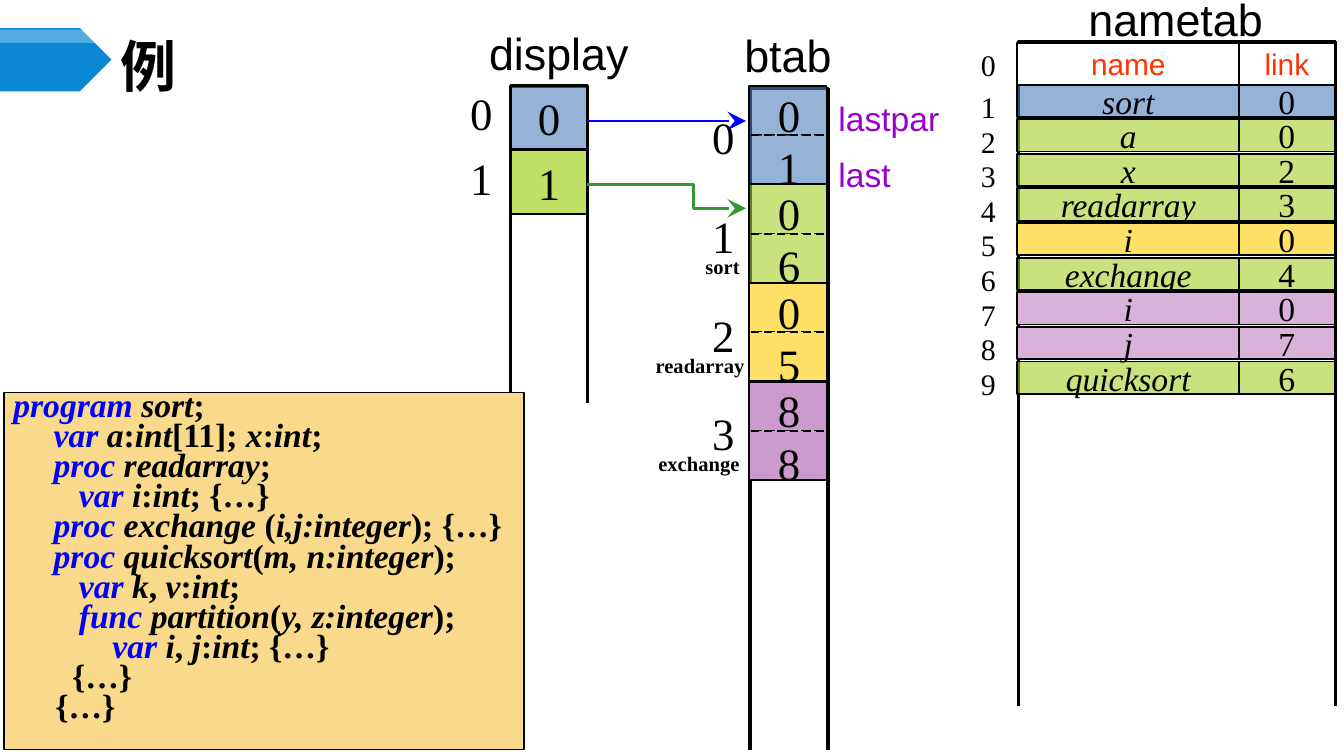
from dataclasses import dataclass, replace
from typing import NamedTuple

from lxml import etree
from pptx import Presentation
from pptx import util as u
from pptx.dml.color import RGBColor
from pptx.enum import dml, shapes, text
from pptx.oxml.ns import qn


@dataclass(frozen=True)
class Type:
    face: str
    size: float
    ink: str = "000000"
    bold: bool = False
    slant: bool = False


class Fill(NamedTuple):
    ink: str
    alpha: int = 100


SERIF, SANS = "Times New Roman", "Arial"


@dataclass(frozen=True)
class Theme:
    title: Type = Type("Noto Sans CJK SC", 30, bold=True)
    head: Type = Type(SANS, 24)
    field: Type = Type(SANS, 16, "FF3300")
    note: Type = Type(SANS, 18, "9900CC")
    big: Type = Type(SERIF, 24)
    cell: Type = Type(SERIF, 18)
    name: Type = Type(SERIF, 18, slant=True)
    index: Type = Type(SERIF, 16)
    small: Type = Type(SERIF, 11, bold=True)
    code: Type = Type(SERIF, 18, bold=True)
    key: Type = Type(SERIF, 18, "0000FF", True, True)
    line: str = "000000"
    blue: Fill = Fill("4F81BD", 60)
    green: Fill = Fill("A5D028", 60)
    lime: Fill = Fill("99CC00", 60)
    gold: Fill = Fill("FFE066")
    pink: Fill = Fill("D9B2D9")
    plum: Fill = Fill("CC99CC")
    white: Fill = Fill("FFFFFF")
    paper: Fill = Fill("F9D98C")
    tag: Fill = Fill("0B87D6")
    gloss: Fill = Fill("FFFFFF", 30)
    call: str = "0000FF"
    jump: str = "339933"


class Row(NamedTuple):
    name: str
    link: str
    fill: Fill


class Block(NamedTuple):
    top: str
    low: str
    fill: Fill
    name: str = ""
    left: float = 0
    width: float = 0


class Code(NamedTuple):
    """rest alternates slanted and upright parts, split by '|'."""
    lead: str
    key: str
    rest: str


T = Theme()
ROWS = [Row("sort", "0", T.blue), Row("a", "0", T.green), Row("x", "2", T.green),
        Row("readarray", "3", T.green), Row("i", "0", T.gold),
        Row("exchange", "4", T.green), Row("i", "0", T.pink),
        Row("j", "7", T.pink), Row("quicksort", "6", T.green)]
BLOCKS = [Block("0", "1", T.blue), Block("0", "6", T.green, "sort", 5.15, 0.46),
          Block("0", "5", T.gold, "readarray", 4.78, 0.87),
          Block("8", "8", T.plum, "exchange", 4.8, 0.81)]
CODE = [Code("", "program ", "sort|;"),
        Code("\t", "var ", "a|:|int|[11]; |x|:|int|;"),
        Code("\t", "proc ", "readarray|;"),
        Code("\t   ", "var ", "i|:|int|; {…}"),
        Code("\t", "proc ", "exchange |(|i,j:integer|); {…}"),
        Code("\t", "proc ", "quicksort|(|m, n:integer|);"),
        Code("\t   ", "var ", "k|, |v|:|int|;"),
        Code("\t   ", "func ", "partition|(|y, z:integer|);"),
        Code("\t       ", "var ", "i|, |j|:|int|; {…}"),
        Code("       ", "", "|{…}"),
        Code("     ", "", "|{…}")]

deck = Presentation()
deck.slide_width = u.Inches(10)
deck.slide_height = deck.slide_width * 9 // 16
slide = deck.slides.add_slide(deck.slide_layouts[5])


def style(font, kind: Type) -> None:
    font.name, font.size = kind.face, u.Pt(kind.size)
    font.bold, font.italic = kind.bold, kind.slant
    font.color.rgb = RGBColor.from_string(kind.ink)


def write(shape, words: str, kind: Type, align=text.PP_ALIGN.LEFT) -> None:
    shape.text_frame.text = words
    for para in shape.text_frame.paragraphs:
        para.alignment = align
        for run in para.runs:
            style(run.font, kind)


def stroke(shape, ink: str, width: float, arrow: bool = False) -> None:
    shape.line.color.rgb = RGBColor.from_string(ink)
    shape.line.width = u.Pt(width)
    if arrow:
        ln = shape.element.spPr.find(qn("a:ln"))
        etree.SubElement(ln, qn("a:tailEnd"), type="stealth", w="lg", len="lg")


def box(x: float, y: float, w: float, h: float, fill: Fill | None = None,
        width: float = 1, dash: bool = False, words: str = "",
        kind: Type = T.cell, form=shapes.MSO_SHAPE.RECTANGLE):
    item = slide.shapes.add_shape(form, *map(u.Inches, (x, y, w, h)))
    item.shadow.inherit = False
    if fill:
        item.fill.solid()
        item.fill.fore_color.rgb = RGBColor.from_string(fill.ink)
        if fill.alpha < 100:
            ink = item.element.spPr.find(qn("a:solidFill"))[0]
            etree.SubElement(ink, qn("a:alpha"), val=str(fill.alpha * 1000))
    else:
        item.fill.background()
    if width:
        stroke(item, T.line, width)
    else:
        item.line.fill.background()
    if dash:
        item.line.dash_style = dml.MSO_LINE.DASH
    if words:
        write(item, words, kind, text.PP_ALIGN.CENTER)
        item.text_frame.word_wrap = False
        item.text_frame.vertical_anchor = text.MSO_ANCHOR.MIDDLE
    return item


def label(x: float, y: float, w: float, h: float, words: str, kind: Type,
          grow: bool = True):
    item = slide.shapes.add_textbox(*map(u.Inches, (x, y, w, h)))
    write(item, words, kind)
    item.text_frame.word_wrap = False
    if grow:
        item.text_frame.auto_size = text.MSO_AUTO_SIZE.SHAPE_TO_FIT_TEXT
    return item


def trace(spots: list, ink: str, width: float, arrow: bool = False) -> None:
    """Draw an open line through the spots."""
    first, *rest = [(u.Inches(x), u.Inches(y)) for x, y in spots]
    pen = slide.shapes.build_freeform(*first)
    pen.add_line_segments(rest, close=False)
    item = pen.convert_to_shape()
    item.shadow.inherit = False
    item.fill.background()
    stroke(item, ink, width, arrow)


def stack(x: float, y: float, w: float, low: float) -> None:
    """Draw a column that is open at the bottom."""
    trace([(x, low), (x, y), (x + w, y), (x + w, low)], T.line, 1.75)


def entry(num: int, y: float, h: float, row: Row, left: Type, right: Type) -> None:
    box(7.57, y, 1.65, h, row.fill, words=row.name, kind=left)
    box(9.22, y, 0.71, h, row.fill, words=row.link, kind=right)
    label(7.2, y - 0.02, 0.37, 0.31, str(num), T.index, False)


def block(num: int, y: float, part: Block) -> None:
    tall = 0.73
    for top in (y, y + tall / 2):
        box(5.57, top, 0.58, tall / 2, part.fill, dash=True)
    box(5.57, y, 0.58, tall)
    label(5.2, y + 0.13, 0.37, 0.51, str(num), T.big)
    label(5.69, y - 0.04, 0.37, 0.5, part.top, T.big)
    label(5.69, y + 0.35, 0.37, 0.5, part.low, T.big)
    if part.name:
        label(part.left, y + 0.47, part.width, 0.29, part.name, T.small)


def inset(frame) -> None:
    frame.margin_left = frame.margin_right = u.Inches(0.07)
    frame.margin_top = frame.margin_bottom = u.Inches(0.04)


def listing() -> None:
    frame = box(0.03, 2.92, 3.87, 2.66, T.paper, 0.75).text_frame
    frame.word_wrap = True
    frame.vertical_anchor = text.MSO_ANCHOR.TOP
    inset(frame)
    hang = u.Inches(0.3)
    for num, code in enumerate(CODE):
        para = frame.add_paragraph() if num else frame.paragraphs[0]
        props = para._p.get_or_add_pPr()
        props.set("marL", str(hang))
        props.set("indent", str(-hang))
        para.alignment = text.PP_ALIGN.JUSTIFY
        para.line_spacing = u.Pt(14)
        para.space_before = u.Pt(2.16 if num else 0)
        parts = [(code.lead, T.code), (code.key, T.key)]
        parts += [(part, replace(T.code, slant=spot % 2 == 0))
                  for spot, part in enumerate(code.rest.split("|"))]
        for words, kind in parts:
            if words:
                run = para.add_run()
                run.text = words
                style(run.font, kind)


def heading() -> None:
    plate = shapes.MSO_SHAPE.PENTAGON
    box(0, 0.21, 0.83, 0.47, T.tag, 0, form=plate)
    box(0, 0.22, 0.83, 0.1, T.gloss, 0, form=plate)
    title = slide.shapes.title
    title.left, title.top, title.width, title.height = map(
        u.Inches, (0.83, 0.29, 8.67, 0.39))
    write(title, "例", T.title)
    frame = title.text_frame
    frame.auto_size = text.MSO_AUTO_SIZE.NONE
    frame.vertical_anchor = text.MSO_ANCHOR.MIDDLE
    inset(frame)
    props = frame.paragraphs[0].runs[0].font._element
    etree.SubElement(props, qn("a:ea"), typeface=T.title.face)


def main() -> None:
    heading()
    stack(3.8, 0.64, 0.57, 3)
    stack(5.58, 0.66, 0.58, 5.58)
    stack(7.58, 0.31, 2.36, 5.25)
    label(3.54, 0.14, 1.25, 0.5, "display", T.head)
    label(5.44, 0.16, 0.86, 0.5, "btab", T.head)
    label(8, -0.11, 1.51, 0.5, "nametab", T.head)
    for num, fill in enumerate((T.blue, T.lime)):
        y = 0.64 + 0.48 * num
        box(3.8, y, 0.57, 0.47, fill, words=str(num), kind=T.big)
        label(3.4, y - 0.05, 0.37, 0.47, str(num), T.big, False)
    entry(0, 0.32, 0.31, Row("name", "link", T.white), T.field, T.field)
    step = (2.69 - 0.63) / (len(ROWS) - 1)
    for num, row in enumerate(ROWS):
        entry(num + 1, 0.63 + step * num, 0.24, row, T.name, T.cell)
    step = (2.84 - 0.64) / (len(BLOCKS) - 1)
    for num, part in enumerate(BLOCKS):
        block(num, 0.64 + step * num, part)
    call = slide.shapes.add_connector(
        shapes.MSO_CONNECTOR.STRAIGHT, *map(u.Inches, (4.37, 0.9, 5.55, 0.9)))
    stroke(call, T.call, 1.5, True)
    etree.SubElement(call.element.spPr, qn("a:effectLst"))
    trace([(4.37, 1.37), (5.16, 1.37), (5.16, 1.55), (5.55, 1.55)],
          T.jump, 1.5, True)
    notes = label(6.14, 0.56, 1.1, 0.89, "lastpar\nlast", T.note)
    notes.text_frame.word_wrap = True
    for para in notes.text_frame.paragraphs:
        para.line_spacing = u.Pt(30)
    listing()
    deck.save("out.pptx")


if __name__ == "__main__":
    main()
